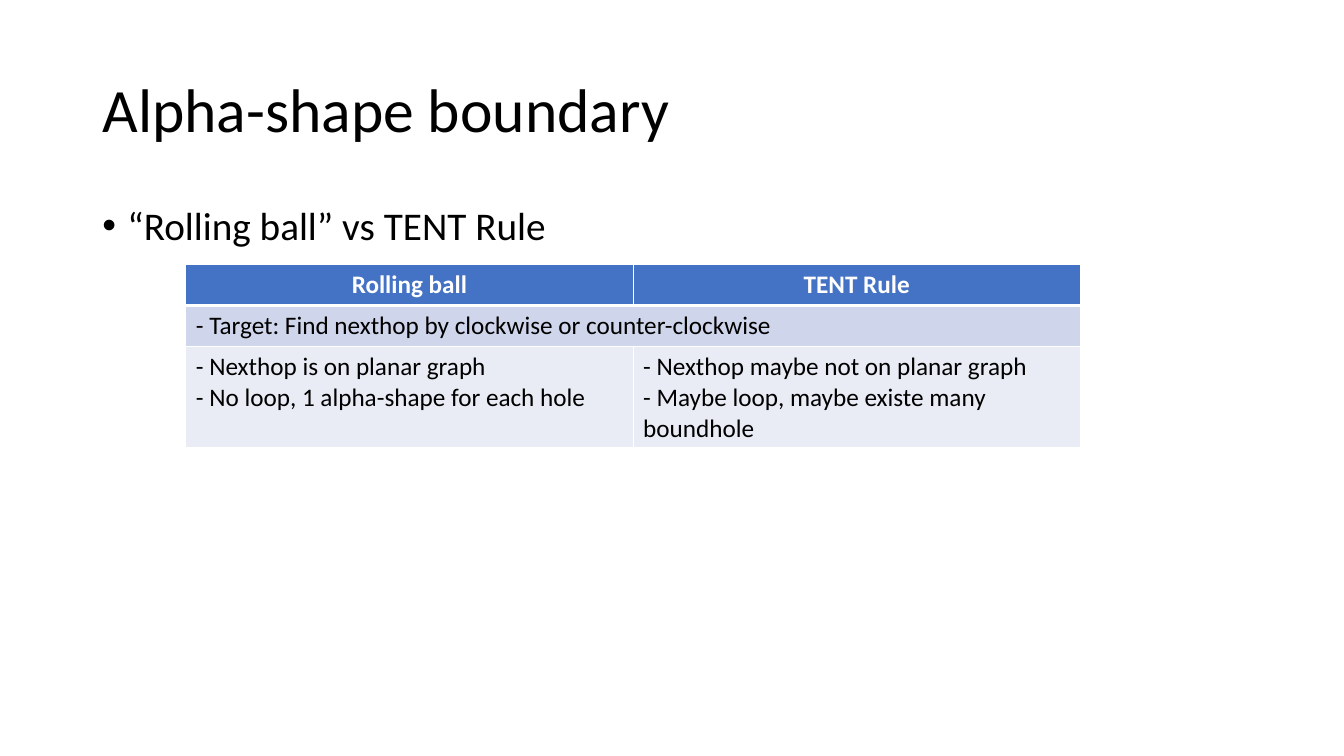
"""Build the slide comparing the rolling ball and TENT rules for alpha-shape boundaries."""
from dataclasses import dataclass

import lxml.etree
import pptx
import pptx.dml.color
import pptx.enum.text
import pptx.oxml.ns
import pptx.shapes.base
import pptx.slide
import pptx.table
import pptx.text.text
import pptx.util

EMU_PER_PX = 9525
FONT = "Calibri"
BLACK = "000000"
WHITE = "FFFFFF"
COLUMN_WIDTH = 426
LEFT = pptx.enum.text.PP_ALIGN.LEFT
CENTER = pptx.enum.text.PP_ALIGN.CENTER


@dataclass(frozen=True)
class Box:
    left: int
    top: int
    width: int
    height: int


@dataclass(frozen=True)
class Row:
    texts: tuple[str, ...]
    height: int
    fill: str
    color: str = BLACK
    header: bool = False


TITLE_BOX = Box(88, 38, 1104, 139)
BODY_BOX = Box(88, 192, 1104, 457)
TABLE_BOX = Box(177, 252, 2 * COLUMN_WIDTH, 174)
ROWS = (
    Row(("Rolling ball", "TENT Rule"), 39, "4472C4", WHITE, True),
    Row(("- Target: Find nexthop by clockwise or counter-clockwise",), 39, "CFD5EA"),
    Row(
        (
            "- Nexthop is on planar graph\n- No loop, 1 alpha-shape for each hole",
            "- Nexthop maybe not on planar graph\n- Maybe loop, maybe existe many boundhole",
        ),
        96,
        "E9EBF5",
    ),
)


def px(length: int) -> pptx.util.Emu:
    return pptx.util.Emu(length * EMU_PER_PX)


def rgb(color: str) -> pptx.dml.color.RGBColor:
    return pptx.dml.color.RGBColor.from_string(color)


def place(shape: pptx.shapes.base.BaseShape, box: Box) -> None:
    shape.left, shape.top = px(box.left), px(box.top)
    shape.width, shape.height = px(box.width), px(box.height)


def format_text(
    text_frame: pptx.text.text.TextFrame,
    size: int,
    color: str = BLACK,
    bold: bool = False,
    alignment: pptx.enum.text.PP_ALIGN = LEFT,
    line_spacing: float = 1.0,
) -> None:
    for paragraph in text_frame.paragraphs:
        paragraph.alignment = alignment
        paragraph.line_spacing = line_spacing
        for run in paragraph.runs:
            run.font.name = FONT
            run.font.size = pptx.util.Pt(size)
            run.font.bold = bold
            run.font.color.rgb = rgb(color)


def add_title(slide: pptx.slide.Slide) -> None:
    title = slide.shapes.title
    place(title, TITLE_BOX)
    title.text_frame.text = "Alpha-shape boundary"
    title.text_frame.vertical_anchor = pptx.enum.text.MSO_ANCHOR.MIDDLE
    format_text(title.text_frame, 44, line_spacing=0.9)


def add_bullet(paragraph: pptx.text.text._Paragraph) -> None:
    properties = paragraph._p.get_or_add_pPr()
    properties.set("marL", str(px(24)))
    properties.set("indent", str(px(-24)))
    font = lxml.etree.SubElement(properties, pptx.oxml.ns.qn("a:buFont"))
    font.set("typeface", "Arial")
    bullet = lxml.etree.SubElement(properties, pptx.oxml.ns.qn("a:buChar"))
    bullet.set("char", "•")


def add_body(slide: pptx.slide.Slide) -> None:
    body = slide.shapes.add_textbox(0, 0, 0, 0)
    place(body, BODY_BOX)
    body.text_frame.word_wrap = True
    body.text_frame.text = "“Rolling ball” vs TENT Rule"
    format_text(body.text_frame, 28, line_spacing=0.9)
    paragraph = body.text_frame.paragraphs[0]
    paragraph.space_before = pptx.util.Pt(10)
    add_bullet(paragraph)


def add_borders(cell: pptx.table._Cell, top: int, bottom: int) -> None:
    properties = cell._tc.get_or_add_tcPr()
    for side, width in (("L", 1), ("R", 1), ("T", top), ("B", bottom)):
        line = lxml.etree.SubElement(properties, pptx.oxml.ns.qn(f"a:ln{side}"))
        line.set("w", str(pptx.util.Pt(width)))
        fill = lxml.etree.SubElement(line, pptx.oxml.ns.qn("a:solidFill"))
        lxml.etree.SubElement(fill, pptx.oxml.ns.qn("a:srgbClr")).set("val", WHITE)


def add_comparison(slide: pptx.slide.Slide) -> None:
    box = TABLE_BOX
    frame = slide.shapes.add_table(
        len(ROWS), 2, px(box.left), px(box.top), px(box.width), px(box.height)
    )
    table = frame.table
    for column in table.columns:
        column.width = px(COLUMN_WIDTH)
    for index, row in enumerate(ROWS):
        table.rows[index].height = px(row.height)
        cells = list(table.rows[index].cells)
        for cell in cells:
            add_borders(cell, 3 if index == 1 else 1, 3 if row.header else 1)
            cell.fill.solid()
            cell.fill.fore_color.rgb = rgb(row.fill)
        if len(row.texts) == 1:
            cells[0].merge(cells[-1])
        for cell, text in zip(cells, row.texts):
            cell.text_frame.text = text
            alignment = CENTER if row.header else LEFT
            format_text(cell.text_frame, 18, row.color, row.header, alignment)


def main() -> None:
    presentation = pptx.Presentation()
    presentation.slide_width, presentation.slide_height = px(1280), px(720)
    slide = presentation.slides.add_slide(presentation.slide_layouts[5])
    add_title(slide)
    add_body(slide)
    add_comparison(slide)
    presentation.save("out.pptx")


if __name__ == "__main__":
    main()
